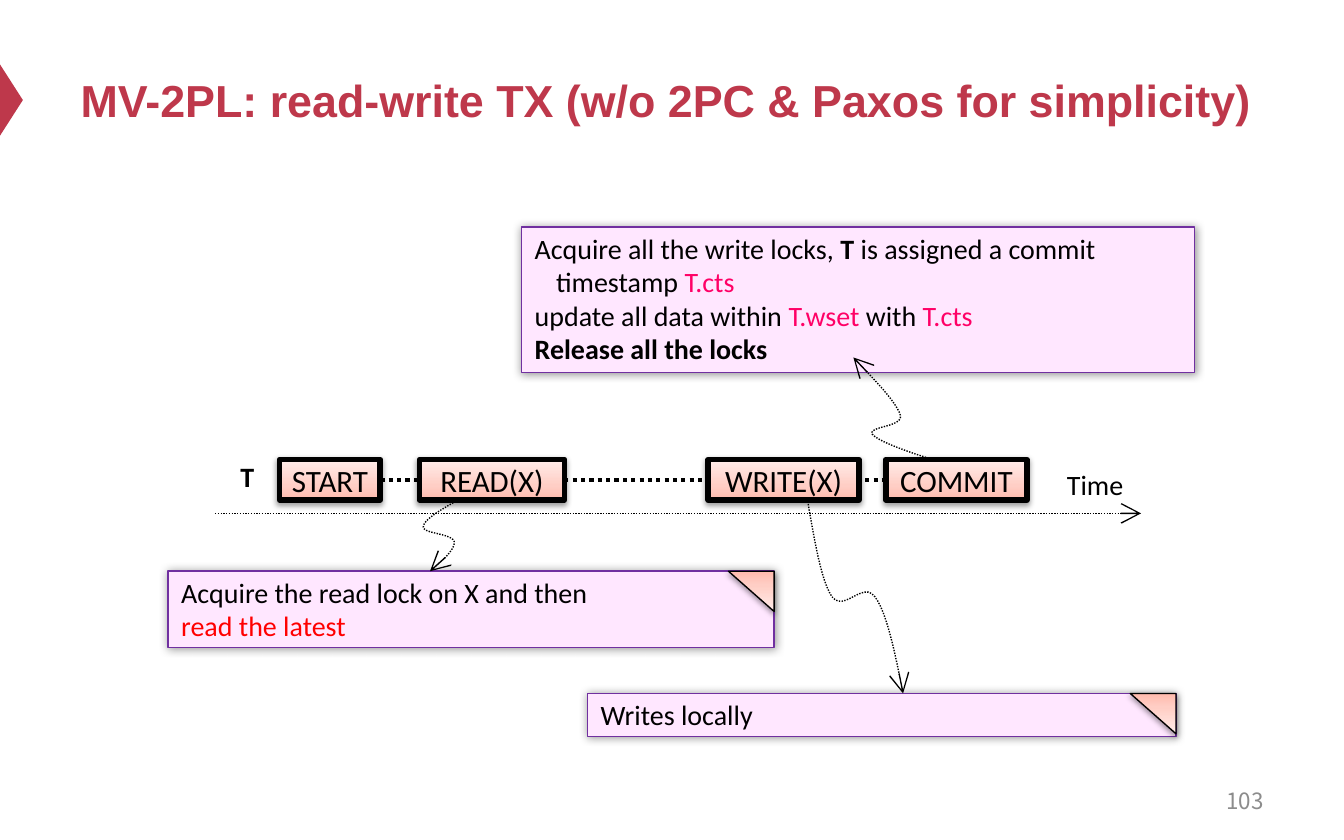
"""Build the slide on the read-write transaction timeline of MV-2PL."""
from lxml import etree
from copy import deepcopy
from pptx import Presentation
from pptx import util as u
from pptx.dml.color import RGBColor
from pptx.enum import dml, shapes, text
from pptx.oxml.ns import qn

BLACK = RGBColor(0, 0, 0)
CRIMSON = RGBColor(0xBE, 0x38, 0x4B)
GREY = RGBColor(0x8C, 0x8C, 0x8C)
RED = RGBColor(0xFF, 0, 0)
PINK = RGBColor(0xFF, 0, 0x66)
PURPLE = RGBColor(0x70, 0x30, 0xA0)
LILAC = RGBColor(0xFF, 0xE7, 0xFF)
SALMON_STOPS = [
    (0, RGBColor(0xFF, 0xBB, 0xAE)),
    (0.35, RGBColor(0xFF, 0xCE, 0xC5)),
    (1, RGBColor(0xFF, 0xEC, 0xE9)),
]

TITLE = "MV-2PL: read-write TX (w/o 2PC & Paxos for simplicity)"
OPERATIONS = [("START", 2.08, 0.75), ("READ(X)", 3.12, 1.08),
              ("WRITE(X)", 5.27, 1.12), ("COMMIT", 6.59, 1.05)]
OPERATION_TOP, OPERATION_HEIGHT = 3.42, 0.3
NOTES = [
    ((1.25, 4.25, 4.51, 0.57), True,
     [[("Acquire the read lock on X and then", BLACK, False)],
      [("read the latest", RED, False)]]),
    ((4.37, 5.16, 4.38, 0.32), True, [[("Writes locally", BLACK, False)]]),
    ((3.88, 1.69, 5.01, 1.08), False,
     [[("Acquire all the write locks, ", BLACK, False), ("T", BLACK, True),
       (" is assigned a commit timestamp ", BLACK, False), ("T.cts", PINK, False)],
      [("update all data within ", BLACK, False), ("T.wset", PINK, False),
       (" with ", BLACK, False), ("T.cts", PINK, False)],
      [("Release all the locks", BLACK, True)]]),
]
FOLD_WIDTH, FOLD_HEIGHT = 0.34, 0.3
CURVES = [
    [(3.39, 3.73), (3.27, 3.8), (3.15, 3.87), (3.15, 3.92), (3.14, 3.97),
     (3.37, 3.97), (3.38, 4.03), (3.39, 4.08), (3.3, 4.17), (3.2, 4.25)],
    [(6.01, 3.73), (6.06, 4.02), (6.11, 4.32), (6.19, 4.44), (6.28, 4.56),
     (6.42, 4.32), (6.51, 4.44), (6.6, 4.56), (6.66, 4.86), (6.72, 5.16)],
    [(6.91, 3.41), (6.72, 3.35), (6.53, 3.28), (6.49, 3.23), (6.46, 3.17),
     (6.72, 3.18), (6.7, 3.09), (6.67, 2.99), (6.51, 2.83), (6.35, 2.66)],
]
CURVE_STEPS = 12


def write_text(frame, paragraphs, size, font="Calibri", align=text.PP_ALIGN.LEFT,
               anchor=text.MSO_ANCHOR.TOP, wrap=True, inset=0.05, hanging=0):
    frame.word_wrap = wrap
    frame.vertical_anchor = anchor
    frame.margin_left = frame.margin_right = u.Inches(0.1)
    frame.margin_top = frame.margin_bottom = u.Inches(inset)
    for index, runs in enumerate(paragraphs):
        paragraph = frame.add_paragraph() if index else frame.paragraphs[0]
        paragraph.alignment = align
        if hanging:
            properties = paragraph._p.get_or_add_pPr()
            properties.set("marL", str(u.Inches(hanging)))
            properties.set("indent", str(-u.Inches(hanging)))
        for content, colour, bold in runs:
            run = paragraph.add_run()
            run.text = content
            run.font.name = font
            run.font.size = u.Pt(size)
            run.font.bold = bold
            run.font.color.rgb = colour


def add_label(slide, box, content, size, colour=BLACK, bold=False, **layout):
    label = slide.shapes.add_textbox(*map(u.Inches, box))
    write_text(label.text_frame, [[(content, colour, bold)]], size, **layout)


def style_line(line, width, colour=BLACK, dotted=False, arrow=False):
    line.color.rgb = colour
    line.width = u.Pt(width)
    if dotted:
        line.dash_style = dml.MSO_LINE.ROUND_DOT
    if arrow:
        etree.SubElement(line._get_or_add_ln(), qn("a:tailEnd"), type="arrow", w="lg", len="lg")


def add_shadow(shape, opacity, blur, distance, angle):
    effects = shape._element.spPr.find(qn("a:effectLst"))
    shadow = etree.SubElement(
        effects, qn("a:outerShdw"), blurRad=str(u.Pt(blur)), dist=str(u.Pt(distance)),
        dir=str(angle * 60000), rotWithShape="0")
    colour = etree.SubElement(shadow, qn("a:srgbClr"), val=str(BLACK))
    etree.SubElement(colour, qn("a:alpha"), val=str(opacity * 1000))


def add_preset(slide, preset, box):
    shape = slide.shapes.add_shape(preset, *map(u.Inches, box))
    shape.shadow.inherit = False
    return shape


def add_salmon(slide, preset, box, line_width):
    shape = add_preset(slide, preset, box)
    shape.fill.gradient()
    shape.fill.gradient_angle = 90
    stop_list = shape._element.spPr.find(qn("a:gradFill")).find(qn("a:gsLst"))
    stop_list.append(deepcopy(stop_list[0]))
    for stop, (position, colour) in zip(shape.fill.gradient_stops, SALMON_STOPS):
        stop.position = position
        stop.color.rgb = colour
    style_line(shape.line, line_width)
    add_shadow(shape, 38, 3.1, 1.6, 90)
    return shape


def add_line(slide, start, end, width, arrow=False):
    line = slide.shapes.add_connector(
        shapes.MSO_CONNECTOR.STRAIGHT, *map(u.Inches, start + end))
    style_line(line.line, width, dotted=True, arrow=arrow)
    etree.SubElement(line._element.spPr, qn("a:effectLst"))
    return line


def add_note(slide, box, folded, paragraphs):
    note = add_preset(slide, shapes.MSO_SHAPE.RECTANGLE, box)
    note.fill.solid()
    note.fill.fore_color.rgb = LILAC
    style_line(note.line, 0.75, PURPLE)
    add_shadow(note, 40, 5, 0, 0)
    write_text(note.text_frame, paragraphs, 15, inset=0.03, hanging=0.16)
    if folded:
        left, top, width, _ = box
        corner = (left + width - FOLD_WIDTH, top, FOLD_WIDTH, FOLD_HEIGHT)
        fold = add_salmon(slide, shapes.MSO_SHAPE.RIGHT_TRIANGLE, corner, 0.75)
        fold.rotation = 180


def bezier_point(controls, t):
    weights = ((1 - t) ** 3, 3 * t * (1 - t) ** 2, 3 * t * t * (1 - t), t ** 3)
    return tuple(u.Inches(sum(w * point[axis] for w, point in zip(weights, controls)))
                 for axis in (0, 1))


def add_curve(slide, controls):
    points = [bezier_point(controls[first:first + 4], step / CURVE_STEPS)
              for first in range(0, len(controls) - 1, 3)
              for step in range(1, CURVE_STEPS + 1)]
    builder = slide.shapes.build_freeform(*map(u.Inches, controls[0]))
    builder.add_line_segments(points, close=False)
    curve = builder.convert_to_shape()
    curve.shadow.inherit = False
    curve.fill.background()
    style_line(curve.line, 0.75, dotted=True, arrow=True)


def main():
    presentation = Presentation()
    presentation.slide_width, presentation.slide_height = u.Inches(10), u.Inches(6.25)
    slide = presentation.slides.add_slide(presentation.slide_layouts[5])

    marker = add_preset(slide, shapes.MSO_SHAPE.ISOSCELES_TRIANGLE, (-0.18, 0.66, 0.53, 0.17))
    marker.rotation = 90
    marker.fill.solid()
    marker.fill.fore_color.rgb = CRIMSON
    marker.line.fill.background()

    title = slide.shapes.title
    title.left, title.top, title.width, title.height = map(u.Inches, (0.5, 0.25, 9, 0.98))
    write_text(title.text_frame, [[(TITLE, CRIMSON, True)]], 24, font="Arial",
               anchor=text.MSO_ANCHOR.MIDDLE)
    add_label(slide, (7.17, 5.79, 2.33, 0.33), "103", 12, GREY, font="Noto Sans CJK SC",
              align=text.PP_ALIGN.RIGHT, anchor=text.MSO_ANCHOR.MIDDLE)

    link = add_line(slide, (2.83, 3.57), (6.59, 3.57), 2.25)
    add_line(slide, (1.6, 3.82), (8.49, 3.82), 0.75, arrow=True)
    add_label(slide, (7.84, 3.43, 0.65, 0.35), "Time", 15, wrap=False)
    add_label(slide, (1.69, 3.37, 0.33, 0.35), "T", 15, bold=True)

    operations = []
    for name, left, width in OPERATIONS:
        box = (left, OPERATION_TOP, width, OPERATION_HEIGHT)
        operation = add_salmon(slide, shapes.MSO_SHAPE.RECTANGLE, box, 3)
        write_text(operation.text_frame, [[(name, BLACK, False)]], 16.6, wrap=False, inset=0.03,
                   align=text.PP_ALIGN.CENTER, anchor=text.MSO_ANCHOR.MIDDLE)
        operations.append(operation)
    link.begin_connect(operations[0], 3)
    link.end_connect(operations[-1], 1)

    for note in NOTES:
        add_note(slide, *note)
    for controls in CURVES:
        add_curve(slide, controls)
    presentation.save("out.pptx")


if __name__ == "__main__":
    main()
